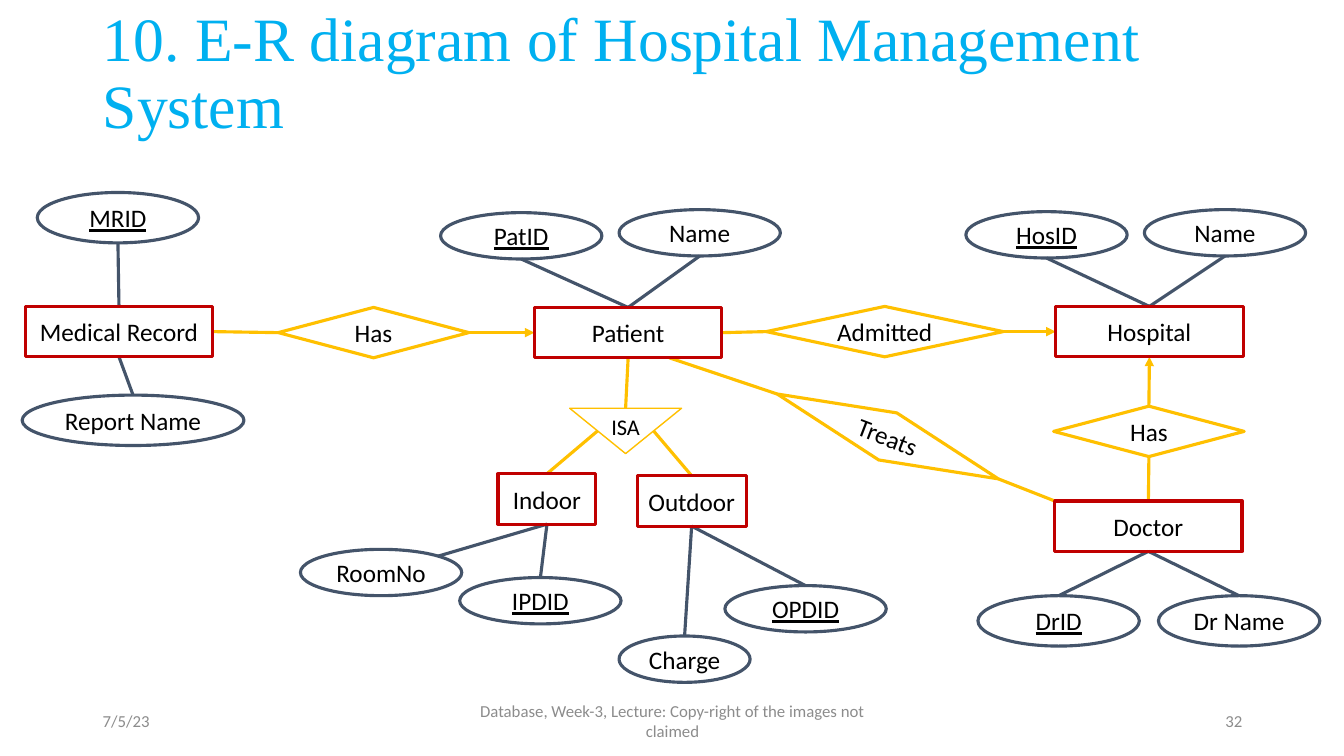
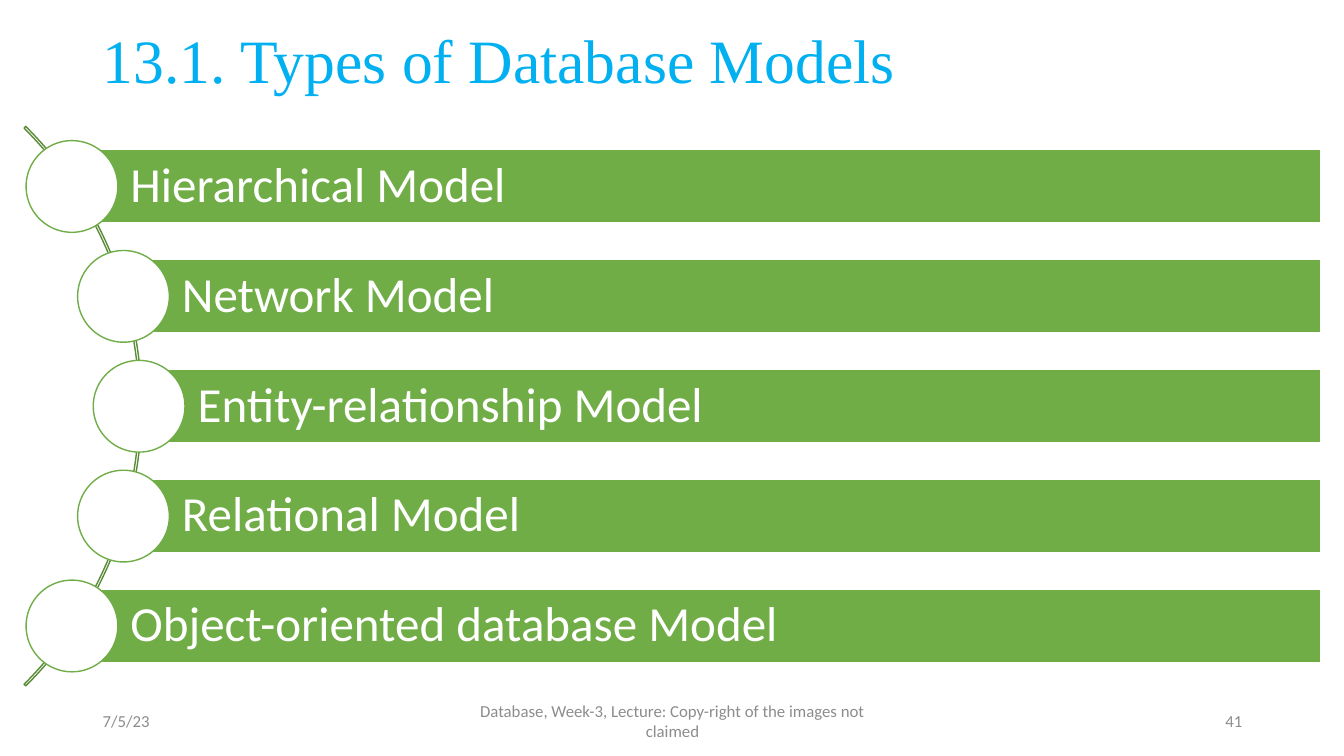
import math
from dataclasses import dataclass

import pptx
import pptx.dml.color
import pptx.enum.shapes
import pptx.enum.text
import pptx.oxml.ns
import pptx.oxml.xmlchemy
import pptx.slide
import pptx.util
from pptx.util import Inches

Shape = pptx.enum.shapes.MSO_SHAPE
Align = pptx.enum.text.PP_ALIGN
Anchor = pptx.enum.text.MSO_ANCHOR

SKY, GREY, BLACK, WHITE = "00B0F0", "8C8C8C", "000000", "FFFFFF"
RED, GOLD, SLATE = "C00000", "FFC000", "44546A"
GREEN, DARK_GREEN = "70AD47", "5A8B39"
FOOTER = "Database, Week-3, Lecture: Copy-right of the images not claimed"
TITLE_ONLY = 5


@dataclass(frozen=True)
class Kind:
    outline: Shape
    color: str
    weight: float = 2.25
    size: float = 18
    fill: str | None = None
    anchor: Anchor = Anchor.MIDDLE
    top_margin: float = 0


ENTITY = Kind(Shape.RECTANGLE, RED)
RELATION = Kind(Shape.DIAMOND, GOLD)
ATTRIBUTE = Kind(Shape.OVAL, SLATE)
INHERITANCE = Kind(Shape.FLOWCHART_MERGE, GOLD, 1, 16, WHITE, Anchor.TOP, 0.05)


@dataclass(frozen=True)
class Node:
    kind: Kind
    label: str
    left: float
    top: float
    width: float = 1.6
    height: float = 0.5
    key: bool = False
    angle: float = 0

    def point(self, across: float, down: float) -> tuple[float, float]:
        dx, dy = (across - 0.5) * self.width, (down - 0.5) * self.height
        cos, sin = math.cos(math.radians(self.angle)), math.sin(math.radians(self.angle))
        return (self.left + self.width / 2 + dx * cos - dy * sin,
                self.top + self.height / 2 + dx * sin + dy * cos)


@dataclass(frozen=True)
class Link:
    start: str
    leave: tuple[float, float]
    end: str
    enter: tuple[float, float]
    color: str = SLATE
    arrow: bool = False


TOP, BOTTOM, LEFT, RIGHT = (0.5, 0), (0.5, 1), (0, 0.5), (1, 0.5)

NODES = {
    "patient": Node(ENTITY, "Patient", 5.3, 3.05, 1.86),
    "hospital": Node(ENTITY, "Hospital", 10.47, 3.04, 1.86),
    "record": Node(ENTITY, "Medical Record", 0.25, 3.04, 1.86),
    "doctor": Node(ENTITY, "Doctor", 10.46, 4.97, 1.86),
    "indoor": Node(ENTITY, "Indoor", 4.94, 4.7, 0.97),
    "outdoor": Node(ENTITY, "Outdoor", 6.32, 4.72, 1.08),
    "admitted": Node(RELATION, "Admitted", 7.6, 3.04, 2.35),
    "has record": Node(RELATION, "Has", 2.76, 3.05, 1.89),
    "has doctor": Node(RELATION, "Has", 10.45, 4.03, 1.89),
    "treats": Node(RELATION, "Treats", 7.63, 4.08, 2.35, angle=21),
    "isa": Node(INHERITANCE, "ISA", 5.65, 4.05, 1.11, 0.45),
    "patient id": Node(ATTRIBUTE, "PatID", 4.37, 2.11, height=0.46, key=True),
    "patient name": Node(ATTRIBUTE, "Name", 6.14, 2.08, height=0.46),
    "hospital id": Node(ATTRIBUTE, "HosID", 9.58, 2.1, height=0.46, key=True),
    "hospital name": Node(ATTRIBUTE, "Name", 11.35, 2.08, height=0.46),
    "record id": Node(ATTRIBUTE, "MRID", 0.37, 1.91, key=True),
    "report name": Node(ATTRIBUTE, "Report Name", 0.22, 3.92, 2.2),
    "doctor id": Node(ATTRIBUTE, "DrID", 9.7, 5.91, key=True),
    "doctor name": Node(ATTRIBUTE, "Dr Name", 11.49, 5.91),
    "indoor id": Node(ATTRIBUTE, "IPDID", 4.56, 5.73, height=0.46, key=True),
    "room": Node(ATTRIBUTE, "RoomNo", 2.98, 5.45, height=0.46),
    "outdoor id": Node(ATTRIBUTE, "OPDID", 7.19, 5.81, height=0.46, key=True),
    "charge": Node(ATTRIBUTE, "Charge", 6.14, 6.31, 1.3, 0.46),
}

LINKS = [
    Link("patient id", BOTTOM, "patient", TOP),
    Link("patient name", BOTTOM, "patient", TOP),
    Link("hospital id", BOTTOM, "hospital", TOP),
    Link("hospital name", BOTTOM, "hospital", TOP),
    Link("record id", BOTTOM, "record", TOP),
    Link("record", BOTTOM, "report name", TOP),
    Link("doctor", BOTTOM, "doctor id", TOP),
    Link("doctor", BOTTOM, "doctor name", TOP),
    Link("indoor", BOTTOM, "indoor id", TOP),
    Link("indoor", BOTTOM, "room", (0.85, 0.15)),
    Link("outdoor", BOTTOM, "outdoor id", TOP),
    Link("outdoor", BOTTOM, "charge", TOP),
    Link("record", RIGHT, "has record", LEFT, GOLD),
    Link("has record", RIGHT, "patient", LEFT, GOLD, True),
    Link("patient", RIGHT, "admitted", LEFT, GOLD),
    Link("admitted", RIGHT, "hospital", LEFT, GOLD, True),
    Link("doctor", TOP, "has doctor", BOTTOM, GOLD),
    Link("has doctor", TOP, "hospital", BOTTOM, GOLD, True),
    Link("patient", (0.72, 1), "treats", LEFT, GOLD),
    Link("treats", RIGHT, "doctor", (0, 0), GOLD),
    Link("patient", BOTTOM, "isa", TOP, GOLD),
    Link("isa", (0.25, 0.5), "indoor", TOP, GOLD),
    Link("isa", (0.75, 0.5), "outdoor", TOP, GOLD),
]

MODELS = ["Hierarchical Model", "Network Model", "Entity-relationship Model",
          "Relational Model", "Object-oriented database Model"]


def rgb(color: str) -> pptx.dml.color.RGBColor:
    return pptx.dml.color.RGBColor.from_string(color)


def write(frame, text: str, *, size: float, color: str, font: str = "Calibri",
          align: Align = Align.LEFT, anchor: Anchor = Anchor.MIDDLE,
          underline: bool = False, wrap: bool = True, spacing: float = 1.0,
          margins: tuple[float, float, float, float] = (0.1, 0.05, 0.1, 0.05)) -> None:
    frame.auto_size = pptx.enum.text.MSO_AUTO_SIZE.NONE
    frame.word_wrap = wrap
    frame.vertical_anchor = anchor
    (frame.margin_left, frame.margin_top,
     frame.margin_right, frame.margin_bottom) = map(Inches, margins)
    paragraph = frame.paragraphs[0]
    paragraph.alignment = align
    paragraph.line_spacing = spacing
    run = paragraph.add_run()
    run.text = text
    run.font.name = font
    run.font.size = pptx.util.Pt(size)
    run.font.color.rgb = rgb(color)
    if underline:
        run.font.underline = True


def add_outline(slide: pptx.slide.Slide, outline: Shape, left: float, top: float,
                width: float, height: float, *, line: str, weight: float = 1,
                fill: str | None = None):
    shape = slide.shapes.add_shape(
        outline, Inches(left), Inches(top), Inches(width), Inches(height))
    shape.shadow.inherit = False
    if fill:
        shape.fill.solid()
        shape.fill.fore_color.rgb = rgb(fill)
    else:
        shape.fill.background()
    shape.line.color.rgb = rgb(line)
    shape.line.width = pptx.util.Pt(weight)
    return shape


def add_page(deck, title: str, title_top: float, number: int) -> pptx.slide.Slide:
    slide = deck.slides.add_slide(deck.slide_layouts[TITLE_ONLY])
    heading = slide.shapes.title
    heading.left, heading.top = Inches(0.92), Inches(title_top)
    heading.width, heading.height = Inches(11.5), Inches(1.45)
    write(heading.text_frame, title, size=44, color=SKY,
          font="Times New Roman", spacing=0.9)
    for text, left, width, align in (("7/5/23", 0.92, 3, Align.LEFT),
                                     (FOOTER, 4.42, 4.5, Align.CENTER),
                                     (str(number), 9.42, 3, Align.RIGHT)):
        footer = slide.shapes.add_textbox(
            Inches(left), Inches(6.95), Inches(width), Inches(0.4))
        write(footer.text_frame, text, size=12, color=GREY, align=align)
    return slide


def draw_link(slide: pptx.slide.Slide, link: Link) -> None:
    start = NODES[link.start].point(*link.leave)
    end = NODES[link.end].point(*link.enter)
    connector = slide.shapes.add_connector(
        pptx.enum.shapes.MSO_CONNECTOR.STRAIGHT, *map(Inches, start + end))
    connector.line.color.rgb = rgb(link.color)
    connector.line.width = pptx.util.Pt(2.25)
    properties = connector.element.spPr
    if link.arrow:
        stroke = properties.find(pptx.oxml.ns.qn("a:ln"))
        tip = pptx.oxml.xmlchemy.OxmlElement("a:tailEnd")
        tip.set("type", "triangle")
        stroke.append(tip)
    properties.append(pptx.oxml.xmlchemy.OxmlElement("a:effectLst"))


def draw_node(slide: pptx.slide.Slide, node: Node) -> None:
    kind = node.kind
    shape = add_outline(slide, kind.outline, node.left, node.top, node.width, node.height,
                        line=kind.color, weight=kind.weight, fill=kind.fill)
    shape.rotation = node.angle
    write(shape.text_frame, node.label, size=kind.size, color=BLACK, align=Align.CENTER,
          anchor=kind.anchor, underline=node.key, wrap=False,
          margins=(0, kind.top_margin, 0, 0))


def draw_hospital_diagram(deck) -> None:
    slide = add_page(deck, "10. E-R diagram of Hospital Management System", 0.02, 32)
    for link in LINKS:
        draw_link(slide, link)
    for node in NODES.values():
        draw_node(slide, node)


def draw_model_list(deck) -> None:
    slide = add_page(deck, "13.1. Types of Database Models", -0.09, 41)
    arc_x, arc_y, arc_size, radius = -2.52, 4.03, 7.85, 3.9
    step, bar_height, bar_right, dot = 1.09, 0.73, 13.1, 0.91

    arc = add_outline(slide, Shape.BLOCK_ARC, arc_x - arc_size / 2, arc_y - arc_size / 2,
                      arc_size, arc_size, line=DARK_GREEN)
    for index, value in enumerate((189, 27, 0.3 / 100)):
        arc.adjustments[index] = value

    for index, model in enumerate(MODELS):
        rise = (index - len(MODELS) // 2) * step
        x, y = arc_x + math.sqrt(radius ** 2 - rise ** 2), arc_y + rise
        bar = add_outline(slide, Shape.RECTANGLE, x, y - bar_height / 2,
                          bar_right - x, bar_height, line=WHITE, fill=GREEN)
        write(bar.text_frame, model, size=35, color=WHITE, spacing=0.9,
              margins=(0.58, 0.1, 0.1, 0.1))
        add_outline(slide, Shape.OVAL, x - dot / 2, y - dot / 2, dot, dot,
                    line=GREEN, fill=WHITE)


def main() -> None:
    deck = pptx.Presentation()
    deck.slide_width, deck.slide_height = Inches(13.33), Inches(7.5)
    draw_hospital_diagram(deck)
    draw_model_list(deck)
    deck.save("out.pptx")


if __name__ == "__main__":
    main()
